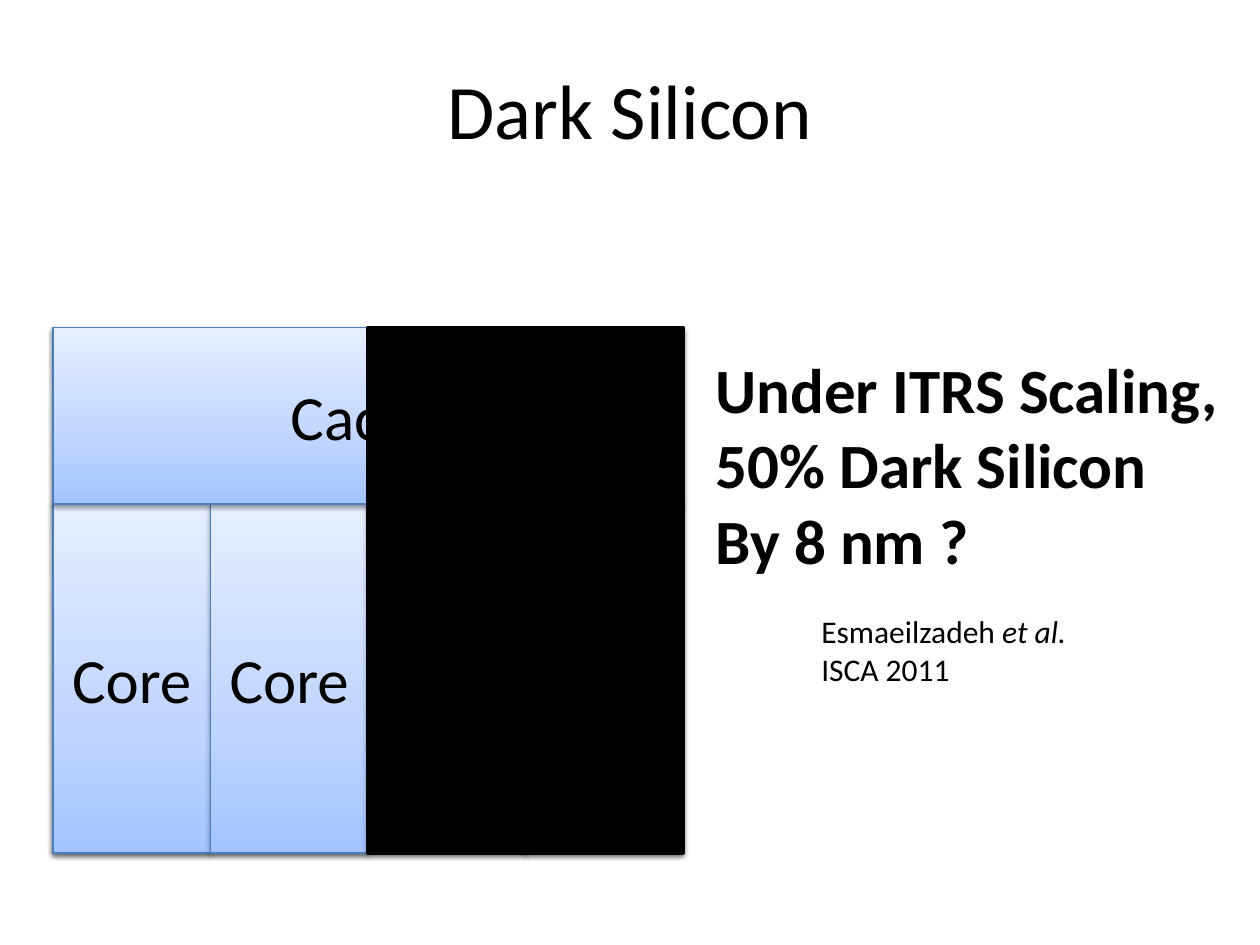
from dataclasses import dataclass

from lxml import etree
from pptx import Presentation
from pptx import util as u
from pptx.dml.color import RGBColor
from pptx.enum import shapes, text
from pptx.oxml import parse_xml
from pptx.oxml.ns import nsdecls, qn


@dataclass(frozen=True)
class Theme:
    font: str = "Calibri"
    ink: str = "000000"
    outline: str = "4B7EBC"
    gradient: tuple = ((0, "A4C4FF"), (35, "BFD4FF"), (100, "E6EEFF"))
    title: int = 44
    body: int = 36
    cite: int = 18


THEME = Theme()
WIDTH, HEIGHT = 10, 7.5
CHIP_LEFT, CHIP_TOP, CHIP_BOTTOM = 0.42, 2.6, 6.77
CORE_TOP, CORE_WIDTH, CORES = 4, 1.25, 4
CHIP_WIDTH = CORE_WIDTH * CORES


def inches(*lengths):
    return [u.Inches(length) for length in lengths]


def add_span(para, words, size, bold=False, italic=False):
    span = para.add_run()
    span.text = words
    span.font.name = THEME.font
    span.font.size = u.Pt(size)
    span.font.bold = bold
    span.font.italic = italic
    span.font.color.rgb = RGBColor.from_string(THEME.ink)


def add_lines(page, area, lines, size, bold=False):
    """Each line is a list of (words, italic) pairs."""
    frame = page.shapes.add_textbox(*inches(*area)).text_frame
    frame.word_wrap = False
    frame.auto_size = text.MSO_AUTO_SIZE.SHAPE_TO_FIT_TEXT
    for index, line in enumerate(lines):
        para = frame.add_paragraph() if index else frame.paragraphs[0]
        for words, italic in line:
            add_span(para, words, size, bold, italic)


def add_box(page, area, line_color, line_width):
    box = page.shapes.add_shape(shapes.MSO_SHAPE.RECTANGLE, *inches(*area))
    box.shadow.inherit = False
    box.line.color.rgb = RGBColor.from_string(line_color)
    box.line.width = u.Pt(line_width)
    return box


def shade(box):
    """Give the box the upward three-stop gradient and a soft drop shadow."""
    stops = "".join(
        f'<a:gs pos="{place * 1000}"><a:srgbClr val="{color}"/></a:gs>'
        for place, color in THEME.gradient
    )
    fill = parse_xml(
        f'<a:gradFill {nsdecls("a")} rotWithShape="1"><a:gsLst>{stops}</a:gsLst>'
        '<a:lin ang="16200000" scaled="0"/></a:gradFill>'
    )
    properties = box._element.spPr
    properties.find(qn("a:prstGeom")).addnext(fill)
    shadow = etree.SubElement(
        properties.find(qn("a:effectLst")), qn("a:outerShdw"),
        blurRad=str(u.Pt(3.1)), dist=str(u.Pt(1.6)), dir="5400000", rotWithShape="0",
    )
    color = etree.SubElement(shadow, qn("a:srgbClr"), val=THEME.ink)
    etree.SubElement(color, qn("a:alpha"), val="38000")


def add_unit(page, area, label=None):
    box = add_box(page, area, THEME.outline, 0.75)
    shade(box)
    if label:
        box.text_frame.vertical_anchor = text.MSO_ANCHOR.MIDDLE
        para = box.text_frame.paragraphs[0]
        para.alignment = text.PP_ALIGN.CENTER
        add_span(para, label, THEME.body)


def add_chip(page):
    add_unit(page, (CHIP_LEFT, CHIP_TOP, CHIP_WIDTH, CHIP_BOTTOM - CHIP_TOP))
    for core in range(CORES):
        left = CHIP_LEFT + core * CORE_WIDTH
        area = (left, CORE_TOP, CORE_WIDTH, CHIP_BOTTOM - CORE_TOP)
        add_unit(page, area, "Core" if core < CORES / 2 else None)
    add_unit(page, (CHIP_LEFT, CHIP_TOP, CHIP_WIDTH, CORE_TOP - CHIP_TOP), "Cache")


def add_dark_half(page):
    half = CHIP_WIDTH / 2
    area = (CHIP_LEFT + half, CHIP_TOP, half, CHIP_BOTTOM - CHIP_TOP)
    box = add_box(page, area, THEME.ink, 2)
    box.fill.solid()
    box.fill.fore_color.rgb = RGBColor.from_string(THEME.ink)


def set_title(page, words):
    title = page.shapes.title
    title.left, title.top, title.width, title.height = inches(
        0.05 * WIDTH, 0.04 * HEIGHT, 0.9 * WIDTH, 0.15 * HEIGHT
    )
    title.text_frame.vertical_anchor = text.MSO_ANCHOR.MIDDLE
    para = title.text_frame.paragraphs[0]
    para.alignment = text.PP_ALIGN.CENTER
    add_span(para, words, THEME.title)


def main():
    deck = Presentation()
    deck.slide_width, deck.slide_height = inches(WIDTH, HEIGHT)
    page = deck.slides.add_slide(deck.slide_layouts[5])
    set_title(page, "Dark Silicon")
    citation = [[("Esmaeilzadeh ", False), ("et al.", True)], [("ISCA 2011", False)]]
    add_lines(page, (6.42, 4.81, 2.17, 0.71), citation, THEME.cite)
    add_chip(page)
    add_dark_half(page)
    claim = ("Under ITRS Scaling,", "50% Dark Silicon", "By 8 nm ?")
    claim_lines = [[(words, False)] for words in claim]
    add_lines(page, (5.58, 2.73, 4.23, 1.92), claim_lines, THEME.body, bold=True)
    deck.save("out.pptx")


if __name__ == "__main__":
    main()
